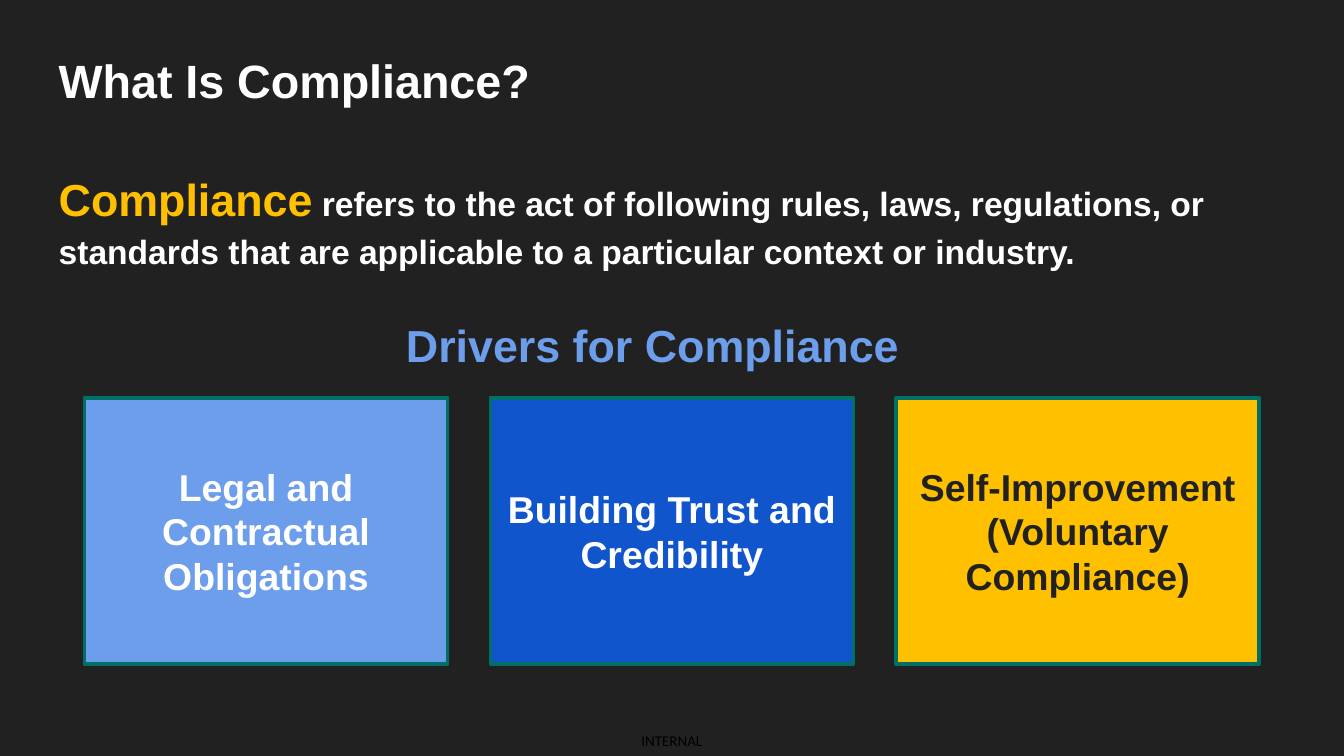
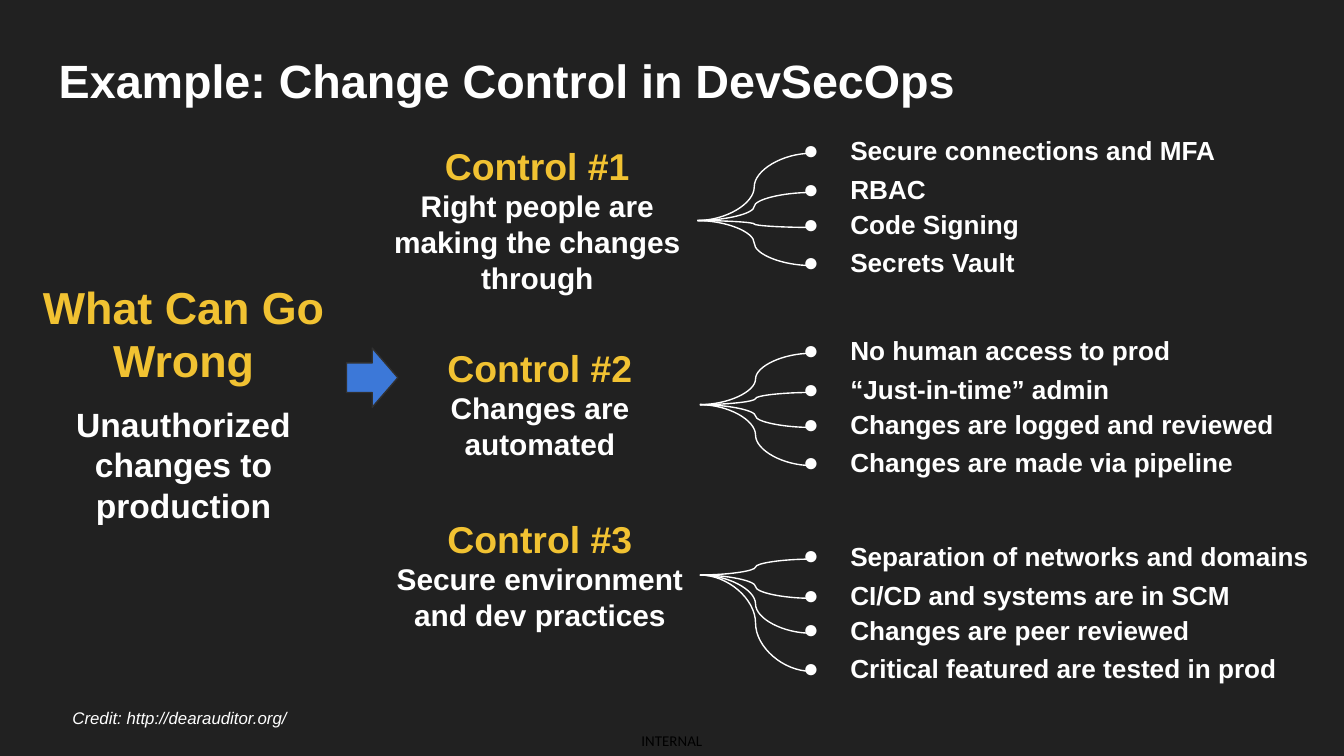
from dataclasses import dataclass
from typing import Any, NamedTuple

import lxml.etree
import pptx
import pptx.dml.color
import pptx.enum.dml
import pptx.enum.shapes
import pptx.enum.text
import pptx.oxml
import pptx.oxml.ns
import pptx.util

Cm = pptx.util.Cm
Pt = pptx.util.Pt
RGBColor = pptx.dml.color.RGBColor
ALIGN = pptx.enum.text.PP_ALIGN
ANCHOR = pptx.enum.text.MSO_ANCHOR
AUTOSIZE = pptx.enum.text.MSO_AUTO_SIZE
SHAPE = pptx.enum.shapes.MSO_SHAPE

BACKGROUND = RGBColor(0x21, 0x21, 0x21)
WHITE = RGBColor(0xFF, 0xFF, 0xFF)
BLACK = RGBColor(0x00, 0x00, 0x00)
AMBER = RGBColor(0xFF, 0xC0, 0x00)
GOLD = RGBColor(0xF1, 0xC2, 0x32)
SKY = RGBColor(0x6D, 0x9E, 0xEB)
COBALT = RGBColor(0x11, 0x55, 0xCC)
TEAL = RGBColor(0x00, 0x6F, 0x65)
ARROW_BLUE = RGBColor(0x3C, 0x78, 0xD8)
CHARCOAL = RGBColor(0x30, 0x30, 0x30)

BODY_FONT = "Arial"
FOOTER_FONT = "Calibri"
INSET = Cm(0.25)


class Box(NamedTuple):
    left: float
    top: float
    width: float
    height: float

    def lengths(self) -> tuple[int, ...]:
        return tuple(Cm(value) for value in self)


class Point(NamedTuple):
    x: float
    y: float


@dataclass(frozen=True)
class Driver:
    label: str
    fill: RGBColor
    color: RGBColor = WHITE


@dataclass(frozen=True)
class Measure:
    text: str
    width: float


@dataclass(frozen=True)
class Control:
    heading: str
    goal: str
    box: Box
    branch: Point
    measures_top: float
    measures: tuple[Measure, ...]


TITLE_BOX = Box(0.86, 0.71, 23.67, 1.6)
FOOTER_BOX = Box(10.7, 13.6, 4, 0.8)

DRIVERS = (
    Driver("Legal and Contractual Obligations", SKY),
    Driver("Building Trust and Credibility", COBALT),
    Driver("Self-Improvement (Voluntary Compliance)", AMBER, BACKGROUND),
)
DRIVER_BOX = Box(1.6, 7.52, 6.86, 5.03)
DRIVER_PITCH = 7.67

CONTROLS = (
    Control(
        "Control #1", "Right people are making the changes through",
        Box(7.16, 2.46, 5.99, 3.43), Point(13.18, 4.17), 2.29,
        (
            Measure("Secure connections and MFA", 9.75),
            Measure("RBAC", 6.4),
            Measure("Code Signing", 6.4),
            Measure("Secrets Vault", 6.4),
        ),
    ),
    Control(
        "Control #2", "Changes are automated",
        Box(7.21, 6.27, 5.99, 2.74), Point(13.23, 7.65), 6.07,
        (
            Measure("No human access to prod", 8.23),
            Measure("“Just-in-time” admin", 7.62),
            Measure("Changes are logged and reviewed", 10.06),
            Measure("Changes are made via pipeline", 9.35),
        ),
    ),
    Control(
        "Control #3", "Secure environment and dev practices",
        Box(7.21, 9.5, 5.99, 2.74), Point(13.23, 10.87), 9.96,
        (
            Measure("Separation of networks and domains", 10.59),
            Measure("CI/CD and systems are in SCM", 10.34),
            Measure("Changes are peer reviewed", 10.06),
            Measure("Critical featured are tested in prod", 10.34),
        ),
    ),
)
MEASURE_LEFT = 14.55
MEASURE_HEIGHT = 1.12
MEASURE_OFFSETS = (0, 0.74, 1.4, 2.12)
BRANCH_END_X = 15.33
BRANCH_END_DROP = 0.61


def write(para: Any, text: str, *, size: float, color: RGBColor = WHITE,
          bold: bool = True, italic: bool = False, font: str = BODY_FONT) -> None:
    span = para.add_run()
    span.text = text
    span.font.size = Pt(size)
    span.font.color.rgb = color
    span.font.bold = bold
    span.font.italic = italic
    span.font.name = font


def set_insets(frame: Any) -> None:
    frame.margin_left = frame.margin_right = INSET
    frame.margin_top = frame.margin_bottom = INSET


def add_text_frame(page: Any, box: Box) -> Any:
    frame = page.shapes.add_textbox(*box.lengths()).text_frame
    frame.word_wrap = True
    frame.auto_size = AUTOSIZE.SHAPE_TO_FIT_TEXT
    set_insets(frame)
    return frame


def add_filled_shape(page: Any, kind: Any, box: Box, fill: RGBColor,
                     line: RGBColor, line_width: float) -> Any:
    shape = page.shapes.add_shape(kind, *box.lengths())
    shape.shadow.inherit = False
    shape.fill.solid()
    shape.fill.fore_color.rgb = fill
    shape.line.color.rgb = line
    shape.line.width = Pt(line_width)
    return shape


def add_page(deck: Any, title: str) -> Any:
    page = deck.slides.add_slide(deck.slide_layouts[5])
    holder = page.shapes.title
    holder.left, holder.top, holder.width, holder.height = TITLE_BOX.lengths()
    frame = holder.text_frame
    frame.auto_size = AUTOSIZE.NONE
    frame.vertical_anchor = ANCHOR.MIDDLE
    set_insets(frame)
    frame.paragraphs[0].alignment = ALIGN.LEFT
    write(frame.paragraphs[0], title, size=25)

    footer = add_text_frame(page, FOOTER_BOX)
    footer.auto_size = AUTOSIZE.NONE
    footer.vertical_anchor = ANCHOR.MIDDLE
    footer.paragraphs[0].alignment = ALIGN.CENTER
    write(footer.paragraphs[0], "INTERNAL", size=8, color=BLACK,
          bold=False, font=FOOTER_FONT)
    return page


def add_bullet(para: Any) -> None:
    qn = pptx.oxml.ns.qn
    properties = para._p.get_or_add_pPr()
    properties.set("marL", str(Cm(1.27)))
    properties.set("indent", str(Cm(-0.89)))
    color = lxml.etree.SubElement(properties, qn("a:buClr"))
    lxml.etree.SubElement(color, qn("a:srgbClr"), val=str(WHITE))
    lxml.etree.SubElement(properties, qn("a:buFont"), typeface=BODY_FONT)
    lxml.etree.SubElement(properties, qn("a:buChar"), char="●")


def add_branch(page: Any, start: Point, end: Point) -> None:
    branch = page.shapes.add_connector(
        pptx.enum.shapes.MSO_CONNECTOR.CURVE,
        Cm(start.x), Cm(start.y), Cm(end.x), Cm(end.y))
    branch.line.color.rgb = WHITE
    branch.line.width = Pt(0.75)
    lxml.etree.SubElement(branch._element.spPr, pptx.oxml.ns.qn("a:effectLst"))


def add_heading_and_detail(page: Any, box: Box, heading: str, detail: str,
                           heading_size: float, detail_size: float,
                           gap: float = 0) -> None:
    frame = add_text_frame(page, box)
    first, second = frame.paragraphs[0], frame.add_paragraph()
    first.alignment = second.alignment = ALIGN.CENTER
    second.space_before = Pt(gap)
    write(first, heading, size=heading_size, color=GOLD)
    write(second, detail, size=detail_size)


def add_control(page: Any, control: Control) -> None:
    add_heading_and_detail(page, control.box, control.heading, control.goal, 20, 16)
    for measure, offset in zip(control.measures, MEASURE_OFFSETS):
        top = control.measures_top + offset
        frame = add_text_frame(
            page, Box(MEASURE_LEFT, top, measure.width, MEASURE_HEIGHT))
        add_bullet(frame.paragraphs[0])
        write(frame.paragraphs[0], measure.text, size=14)
        add_branch(page, control.branch, Point(BRANCH_END_X, top + BRANCH_END_DROP))


def build_compliance_page(deck: Any) -> None:
    page = add_page(deck, "What Is Compliance?")
    definition = add_text_frame(page, Box(0.86, 2.84, 22.94, 2.57)).paragraphs[0]
    definition.line_spacing = 1.15
    write(definition, "Compliance", size=24, color=AMBER)
    write(definition, " refers to the act of following rules, laws, regulations, or "
          "standards that are applicable to a particular context or industry.", size=18)

    for index, driver in enumerate(DRIVERS):
        box = DRIVER_BOX._replace(left=DRIVER_BOX.left + index * DRIVER_PITCH)
        card = add_filled_shape(page, SHAPE.RECTANGLE, box, driver.fill, TEAL, 2)
        frame = card.text_frame
        frame.word_wrap = True
        frame.vertical_anchor = ANCHOR.MIDDLE
        frame.paragraphs[0].alignment = ALIGN.CENTER
        write(frame.paragraphs[0], driver.label, size=20, color=driver.color)

    heading = add_text_frame(page, Box(0.86, 5.61, 22.94, 1.7)).paragraphs[0]
    heading.alignment = ALIGN.CENTER
    heading.line_spacing = 1.15
    write(heading, "Drivers for Compliance", size=24, color=SKY)


def build_change_control_page(deck: Any) -> None:
    page = add_page(deck, "Example: Change Control in DevSecOps")
    add_heading_and_detail(page, Box(0.41, 5.03, 6.12, 5.21), "What Can Go Wrong",
                           "Unauthorized changes to production", 24, 18, gap=9.2)
    add_filled_shape(page, SHAPE.RIGHT_ARROW, Box(6.55, 6.58, 0.97, 1.12),
                     ARROW_BLUE, CHARCOAL, 0.75)
    for control in CONTROLS:
        add_control(page, control)
    credit = add_text_frame(page, Box(1.12, 13.18, 8.53, 0.89)).paragraphs[0]
    write(credit, "Credit: http://dearauditor.org/", size=9, bold=False, italic=True)


def main() -> None:
    deck = pptx.Presentation()
    deck.slide_width, deck.slide_height = Cm(25.4), Cm(14.29)
    background = deck.slide_master.background.fill
    background.solid()
    background.fore_color.rgb = BACKGROUND
    build_compliance_page(deck)
    build_change_control_page(deck)
    deck.save("out.pptx")


if __name__ == "__main__":
    main()
